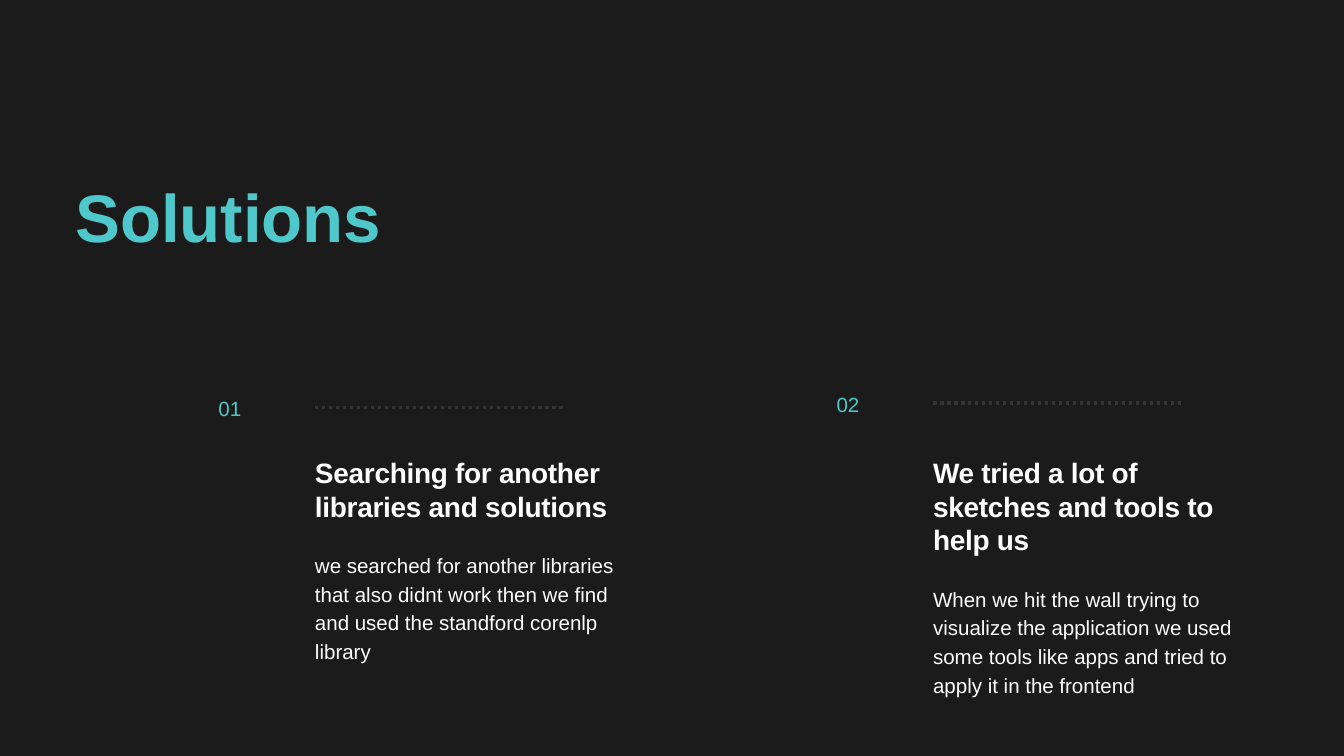
from lxml import etree
from pptx import Presentation
from pptx.dml.color import RGBColor
from pptx.enum.dml import MSO_LINE
from pptx.enum.shapes import MSO_CONNECTOR
from pptx.enum.text import MSO_ANCHOR, MSO_AUTO_SIZE, PP_ALIGN
from pptx.oxml.ns import qn
from pptx.util import Pt

STRAIGHT = MSO_CONNECTOR.STRAIGHT
DOTTED = MSO_LINE.ROUND_DOT
TOP = MSO_ANCHOR.TOP
LEFT = PP_ALIGN.LEFT
NO_AUTOFIT = MSO_AUTO_SIZE.NONE

PX = 9525
COLORS = {
    "background": "1B1B1B",
    "accent": "4EC8CA",
    "text": "FFFFFF",
    "rule": "343434",
}
FONT = "Arial"

presentation = Presentation()
presentation.slide_width = 1920 * PX
presentation.slide_height = 1080 * PX
slide = presentation.slides.add_slide(presentation.slide_layouts[5])
slide.background.fill.solid()
slide.background.fill.fore_color.rgb = RGBColor.from_string(COLORS["background"])


def write_text(text, box, size, leading, color="text", bold=False, tracking=0, shape=None):
    left, top, width, height = [value * PX for value in box]
    if shape is None:
        shape = slide.shapes.add_textbox(left, top, width, height)
    else:
        shape.left, shape.top, shape.width, shape.height = left, top, width, height
    frame = shape.text_frame
    frame.word_wrap = True
    frame.auto_size = NO_AUTOFIT
    frame.vertical_anchor = TOP
    frame.margin_left = frame.margin_top = frame.margin_right = frame.margin_bottom = 0
    paragraph = frame.paragraphs[0]
    paragraph.alignment = LEFT
    paragraph.line_spacing = Pt(leading)
    run = paragraph.add_run()
    run.text = text
    run.font.name = FONT
    run.font.size = Pt(size)
    run.font.bold = bold
    run.font.color.rgb = RGBColor.from_string(COLORS[color])
    if tracking:
        run.font._element.set("spc", str(tracking))


write_text("Solutions", (108, 250, 1346, 116), 72, 86.4, color="accent", bold=True,
           shape=slide.shapes.title)

solutions = [
    ("01", 560, "Searching for another libraries and solutions", 2,
     "we searched for another libraries that also didnt work then we find "
     "and used the standford corenlp library"),
    ("02", 554, "We tried a lot of sketches and tools to help us", 3,
     "When we hit the wall trying to visualize the application we used "
     "some tools like apps and tried to apply it in the frontend"),
]
FIRST_COLUMN, COLUMN_STEP, COLUMN_WIDTH = 450, 883, 430
HEADING_TOP, HEADING_LINE, HEADING_GAP = 651, 48, 37

for index, (number, number_top, heading, heading_lines, body) in enumerate(solutions):
    column = FIRST_COLUMN + index * COLUMN_STEP
    heading_height = heading_lines * HEADING_LINE
    body_top = HEADING_TOP + heading_height + HEADING_GAP
    write_text(number, (column - 138, number_top, 72, 40), 22, 30.8, color="accent")
    write_text(heading, (column, HEADING_TOP, COLUMN_WIDTH, heading_height), 30, 36,
               bold=True, tracking=-30)
    write_text(body, (column, body_top, COLUMN_WIDTH, 162), 22, 30.8)

    rule_top = (number_top + 22) * PX
    rule = slide.shapes.add_connector(STRAIGHT, column * PX, rule_top,
                                      (column + 358) * PX, rule_top)
    rule.line.color.rgb = RGBColor.from_string(COLORS["rule"])
    rule.line.width = Pt(3.75)
    rule.line.dash_style = DOTTED
    etree.SubElement(rule._element.spPr, qn("a:effectLst"))

presentation.save("out.pptx")
